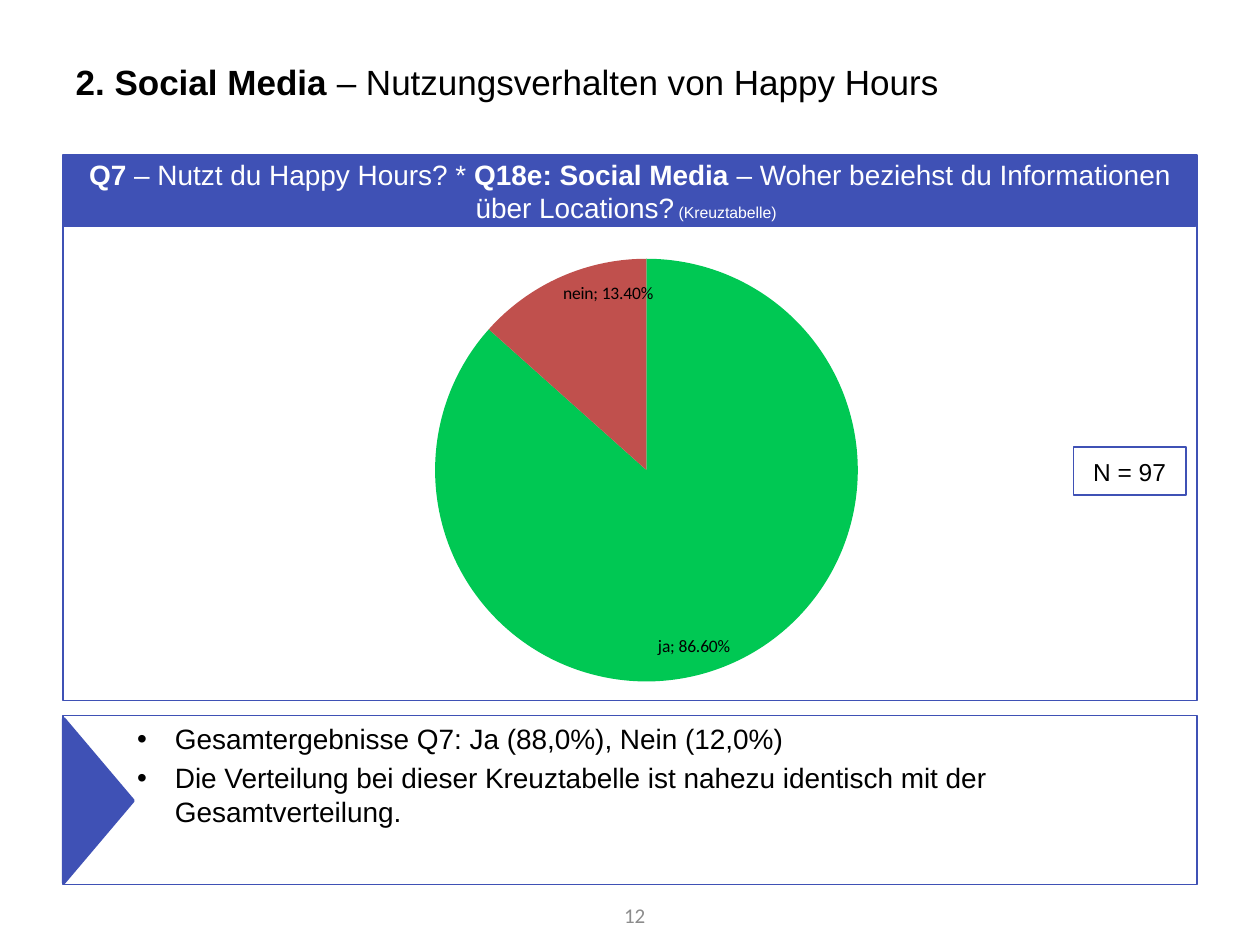
from dataclasses import dataclass

from lxml import etree
from pptx import Presentation
from pptx.chart.data import CategoryChartData
from pptx.dml.color import RGBColor
from pptx.enum.chart import XL_CHART_TYPE, XL_LABEL_POSITION
from pptx.enum.shapes import MSO_SHAPE
from pptx.enum.text import MSO_ANCHOR, PP_ALIGN
from pptx.oxml.ns import qn
from pptx.util import Inches, Pt


@dataclass(frozen=True)
class Theme:
    font: str = "Arial"
    chart_font: str = "Calibri"
    blue: str = "3F51B5"
    green: str = "00C853"
    red: str = "C0504D"
    black: str = "000000"
    white: str = "FFFFFF"
    gray: str = "8C8C8C"
    title: int = 20
    body: int = 16
    sample: int = 14
    page: int = 12
    label: int = 10
    note: int = 9


def rgb(value):
    return RGBColor.from_string(value)


def add_xml(parent, tag, **attributes):
    element = etree.SubElement(parent, qn(tag))
    for name, value in attributes.items():
        element.set(name, value)
    return element


class SlideBuilder:
    def __init__(self, slide, theme):
        self.slide = slide
        self.theme = theme

    def add_runs(self, paragraph, runs, size, color, font=None):
        """Each run is (text, bold) or (text, bold, size)."""
        for text, bold, *own_size in runs:
            run = paragraph.add_run()
            run.text = text
            run.font.name = font or self.theme.font
            run.font.size = Pt(own_size[0] if own_size else size)
            run.font.bold = bold
            run.font.color.rgb = rgb(color)

    def title(self, box, runs):
        shape = self.slide.shapes.title
        shape.left, shape.top, shape.width, shape.height = map(Inches, box)
        shape.text_frame.vertical_anchor = MSO_ANCHOR.MIDDLE
        paragraph = shape.text_frame.paragraphs[0]
        paragraph.alignment = PP_ALIGN.LEFT
        self.add_runs(paragraph, runs, self.theme.title, self.theme.black)

    def shape(self, box, kind=MSO_SHAPE.RECTANGLE, fill=None, line=1, rotation=0):
        shape = self.slide.shapes.add_shape(kind, *map(Inches, box))
        shape.shadow.inherit = False
        shape.rotation = rotation
        if fill:
            shape.fill.solid()
            shape.fill.fore_color.rgb = rgb(fill)
        else:
            shape.fill.background()
        shape.line.color.rgb = rgb(self.theme.blue)
        shape.line.width = Pt(line)
        return shape

    def label(self, shape, runs, size, color):
        shape.text_frame.word_wrap = True
        shape.text_frame.vertical_anchor = MSO_ANCHOR.MIDDLE
        paragraph = shape.text_frame.paragraphs[0]
        paragraph.alignment = PP_ALIGN.CENTER
        self.add_runs(paragraph, runs, size, color)

    def bullets(self, shape, items):
        frame = shape.text_frame
        frame.word_wrap = True
        frame.vertical_anchor = MSO_ANCHOR.TOP
        for index, item in enumerate(items):
            paragraph = frame.add_paragraph() if index else frame.paragraphs[0]
            paragraph.alignment = PP_ALIGN.LEFT
            paragraph.space_before = Pt(0.2 * self.theme.body)
            properties = paragraph._p.get_or_add_pPr()
            properties.set("marL", str(Inches(0.79)))
            properties.set("indent", str(Inches(-0.3)))
            add_xml(properties, "a:buFont", typeface=self.theme.font)
            add_xml(properties, "a:buChar", char="•")
            self.add_runs(paragraph, [(item, False)], self.theme.body,
                          self.theme.black)

    def page_number(self, box, number):
        frame = self.slide.shapes.add_textbox(*map(Inches, box)).text_frame
        frame.word_wrap = True
        frame.vertical_anchor = MSO_ANCHOR.MIDDLE
        paragraph = frame.paragraphs[0]
        paragraph.alignment = PP_ALIGN.RIGHT
        self.add_runs(paragraph, [(number, False)], self.theme.page,
                      self.theme.gray, self.theme.chart_font)

    def pie(self, box, shares, colors, plot_area):
        data = CategoryChartData(number_format="0.00%")
        data.categories = list(shares)
        data.add_series("Series 1", list(shares.values()))
        chart = self.slide.shapes.add_chart(
            XL_CHART_TYPE.PIE, *map(Inches, box), data).chart
        chart.has_legend = False
        chart.has_title = False
        chart.font.name = self.theme.chart_font
        chart.font.size = Pt(self.theme.label)
        chart.font.color.rgb = rgb(self.theme.black)

        plot = chart.plots[0]
        plot.vary_by_categories = True
        for index, color in enumerate(colors):
            fill = plot.series[0].points[index].format.fill
            fill.solid()
            fill.fore_color.rgb = rgb(color)

        labels = plot.series[0].data_labels
        labels.show_value = True
        labels.show_category_name = True
        labels.show_percentage = False
        labels.number_format = "0.00%"
        labels.number_format_is_linked = False
        labels.position = XL_LABEL_POSITION.INSIDE_END
        separator = etree.Element(qn("c:separator"))
        separator.text = "; "
        flags = [child for child in labels._element
                 if etree.QName(child).localname.startswith("show")
                 and child.tag != qn("c:showLeaderLines")]
        flags[-1].addnext(separator)

        # Fixed position of the pie inside the chart frame
        area = chart._chartSpace.find(".//" + qn("c:plotArea"))
        for old in area.findall(qn("c:layout")):
            area.remove(old)
        layout = etree.Element(qn("c:layout"))
        area.insert(0, layout)
        manual = add_xml(layout, "c:manualLayout")
        add_xml(manual, "c:layoutTarget", val="inner")
        add_xml(manual, "c:xMode", val="edge")
        add_xml(manual, "c:yMode", val="edge")
        for name, value in zip("xywh", plot_area):
            add_xml(manual, "c:" + name, val=str(value))


theme = Theme()
presentation = Presentation()
presentation.slide_width, presentation.slide_height = Inches(10), Inches(7.5)
builder = SlideBuilder(
    presentation.slides.add_slide(presentation.slide_layouts[5]), theme)

# Title
builder.title((0.5, 0.3, 9, 0.69), [
    ("2. Social Media ", True), ("– Nutzungsverhalten von Happy Hours", False)])

# Findings with arrow marker
findings = builder.shape((0.5, 5.68, 9, 1.34))
builder.bullets(findings, [
    "Gesamtergebnisse Q7: Ja (88,0%), Nein (12,0%)",
    "Die Verteilung bei dieser Kreuztabelle ist nahezu identisch mit der "
    "Gesamtverteilung."])
builder.shape((0.13, 6.08, 1.3, 0.55), MSO_SHAPE.ISOSCELES_TRIANGLE,
              fill=theme.blue, line=2, rotation=90)

# Chart panel with question header
builder.shape((0.5, 1.23, 9, 4.33))
header = builder.shape((0.51, 1.24, 8.98, 0.55), fill=theme.blue, line=2)
builder.label(header, [
    ("Q7 ", True), ("– Nutzt du Happy Hours? * ", False),
    ("Q18e: Social Media ", True),
    ("– Woher beziehst du Informationen über Locations?", False),
    (" (Kreuztabelle)", False, theme.note), (" ", False)],
    theme.body, theme.white)

# Sample size
sample = builder.shape((8.52, 3.55, 0.89, 0.38))
builder.label(sample, [("N = 97", False)], theme.sample, theme.black)

# Page number
builder.page_number((4.59, 7.06, 0.63, 0.4), "12")

# Usage shares
builder.pie((1.46, 1.79, 7.06, 3.77), {"ja": 0.866, "nein": 0.134},
            (theme.green, theme.red), plot_area=(0.28, 0.07, 0.48, 0.89))

presentation.save("out.pptx")
